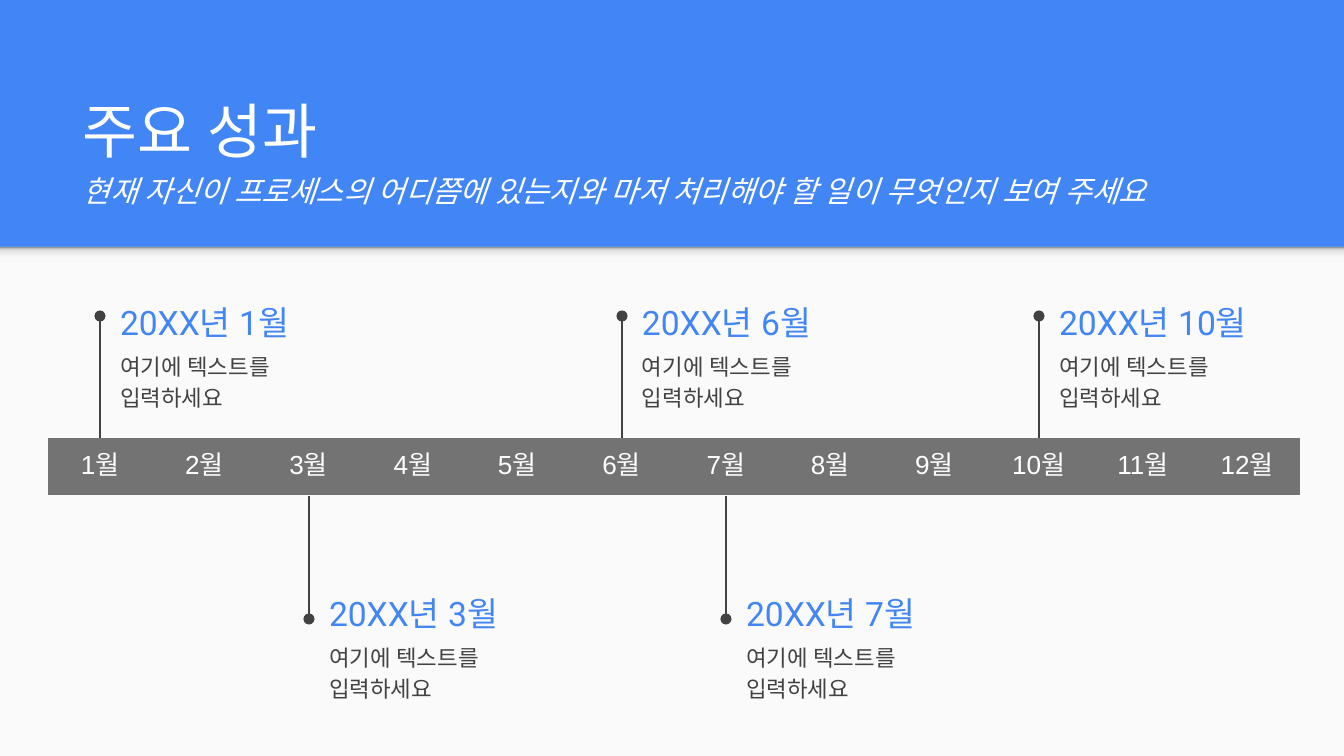
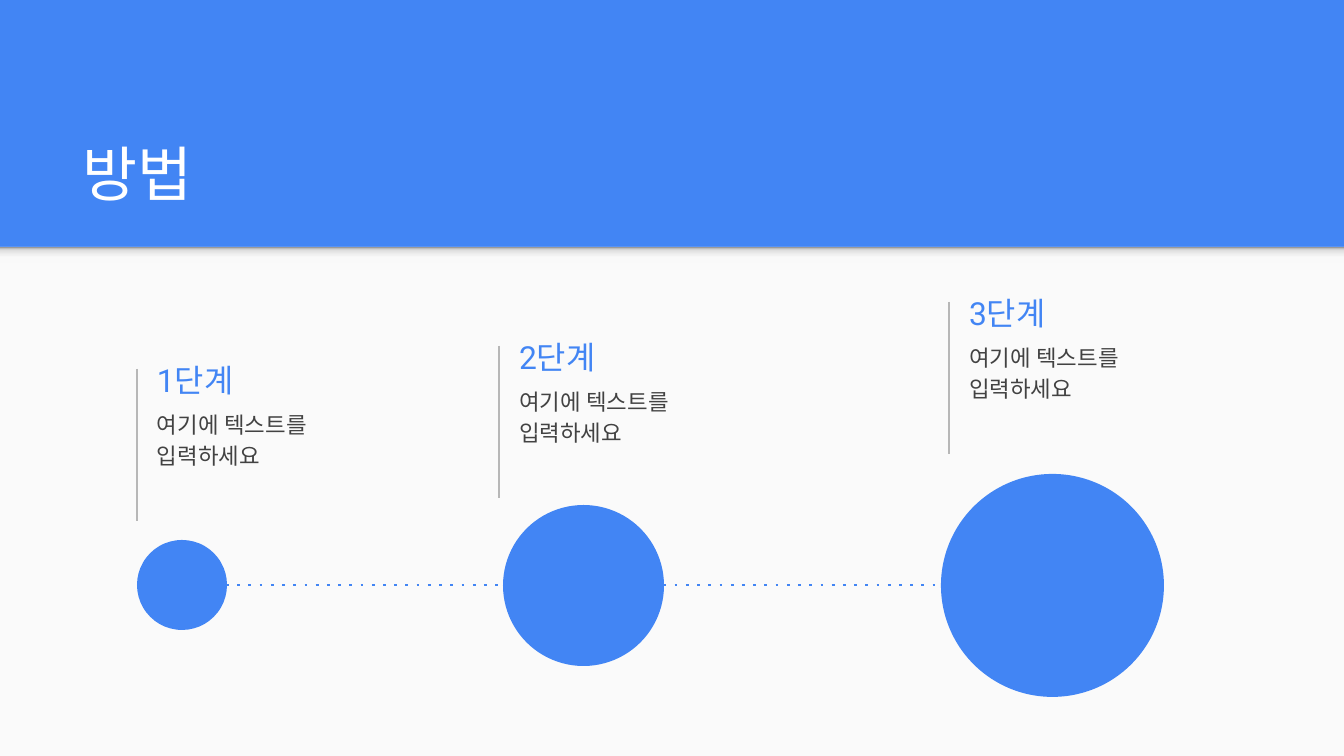
import pptx
import pptx.dml.color
import pptx.enum.shapes
import pptx.enum.text
import pptx.oxml
import pptx.oxml.ns
import pptx.util
from lxml import etree

SCALE = 914400 / 134.4
WIDTH, HEIGHT = 1344, 756
BLUE, PAPER, WHITE = "4285F4", "FAFAFA", "FFFFFF"
INK, BAR, RULE = "424242", "737373", "B7B7B7"
SHADE = [(0, "F9F9F9"), (36, "F9F9F9"), (80, "DEDEDE"), (100, "999999")]
NO_TABLE_STYLE = "{2D5ABB26-0587-4C30-8999-92F81FD0307C}"
SHAPE = pptx.enum.shapes.MSO_SHAPE
ANCHOR = pptx.enum.text.MSO_ANCHOR
ALIGN = pptx.enum.text.PP_ALIGN
BODY_TEXT = "여기에 텍스트를 입력하세요"


def px(*values):
    return [pptx.util.Emu(round(value * SCALE)) for value in values]


def color(code):
    return pptx.dml.color.RGBColor.from_string(code)


def add_child(parent, tag, **attributes):
    child = etree.SubElement(parent, pptx.oxml.ns.qn(tag))
    for name, value in attributes.items():
        child.set(name, str(value))
    return child


def write(para, text, size, fill, font="Roboto", italic=None, align=None,
          spacing=None, before=None, after=None):
    para.alignment = align
    if spacing:
        para.line_spacing = spacing
    if before:
        para.space_before = pptx.util.Pt(before)
    if after:
        para.space_after = pptx.util.Pt(after)
    span = para.add_run()
    span.text = text
    span.font.size = pptx.util.Pt(size)
    span.font.italic = italic
    span.font.color.rgb = color(fill)
    span.font.name = font
    add_child(span.font._element, "a:ea", typeface=font)


def set_margins(holder):
    margin = px(13)[0]
    holder.margin_left = holder.margin_right = margin
    holder.margin_top = holder.margin_bottom = margin


class Slides:
    """Holds the deck's style and the current slide."""

    def __init__(self):
        self.deck = pptx.Presentation()
        self.deck.slide_width, self.deck.slide_height = px(WIDTH, HEIGHT)
        self.page = None

    def start(self, title, subtitle=None):
        self.page = self.deck.slides.add_slide(self.deck.slide_layouts[6])
        self.page.background.fill.solid()
        self.page.background.fill.fore_color.rgb = color(BLUE)
        self.shape(SHAPE.RECTANGLE, 0, 247, WIDTH, HEIGHT - 247, PAPER)
        self.shade(0, 247, WIDTH, 16)
        frame = self.text_box(70, 109, 1208, 113, ANCHOR.BOTTOM)
        write(frame.paragraphs[0], title, 32, WHITE)
        if subtitle:
            write(frame.add_paragraph(), subtitle, 16, WHITE,
                  italic=True, before=4, after=4)

    def shape(self, kind, left, top, width, height, fill):
        shape = self.page.shapes.add_shape(kind, *px(left, top, width, height))
        shape.shadow.inherit = False
        shape.fill.solid()
        shape.fill.fore_color.rgb = color(fill)
        shape.line.fill.background()
        return shape

    def shade(self, left, top, width, height):
        band = self.shape(SHAPE.RECTANGLE, left, top, width, height, PAPER)
        band.fill.gradient()
        band.fill.gradient_angle = 90
        stops = band._element.spPr.find(".//" + pptx.oxml.ns.qn("a:gsLst"))
        for stop in list(stops):
            stops.remove(stop)
        for position, code in SHADE:
            stop = add_child(stops, "a:gs", pos=position * 1000)
            add_child(stop, "a:srgbClr", val=code)

    def text_box(self, left, top, width, height, anchor):
        box = self.page.shapes.add_textbox(*px(left, top, width, height))
        frame = box.text_frame
        frame.word_wrap = True
        frame.vertical_anchor = anchor
        set_margins(frame)
        return frame

    def line(self, start, end, fill, width=0.75, dash=None, tail=None):
        line = self.page.shapes.add_connector(
            pptx.enum.shapes.MSO_CONNECTOR.STRAIGHT, *px(*start, *end))
        line.line.color.rgb = color(fill)
        line.line.width = pptx.util.Pt(width)
        outline = line.line._get_or_add_ln()
        if dash:
            add_child(outline, "a:prstDash", val=dash)
        if tail:
            add_child(outline, "a:tailEnd", type=tail)
        add_child(line._element.spPr, "a:effectLst")

    def entry(self, left, top, heading, size):
        frame = self.text_box(left, top, 266, 58, ANCHOR.MIDDLE)
        write(frame.paragraphs[0], heading, size, BLUE)
        frame = self.text_box(left, top + 43, 266, 85, ANCHOR.TOP)
        write(frame.paragraphs[0], BODY_TEXT, 12, INK, spacing=1.15, after=16)

    def bar(self, left, top, width, height, labels):
        table = self.page.shapes.add_table(
            1, len(labels), *px(left, top, width, height)).table
        table.first_row = table.horz_banding = False
        style = table._tbl.tblPr.find(pptx.oxml.ns.qn("a:tableStyleId"))
        style.text = NO_TABLE_STYLE
        for index, label in enumerate(labels):
            table.columns[index].width = px(width / len(labels))[0]
            cell = table.cell(0, index)
            cell.fill.solid()
            cell.fill.fore_color.rgb = color(BAR)
            set_margins(cell)
            write(cell.text_frame.paragraphs[0], label, 14, WHITE,
                  font="Arial", align=ALIGN.CENTER)


def build_timeline(slides):
    slides.start("주요 성과", "현재 자신이 프로세스의 어디쯤에 있는지와 "
                 "마저 처리해야 할 일이 무엇인지 보여 주세요")
    bar_left, bar_top, bar_width = 48, 438, 1252
    for month, above in [(1, True), (3, False), (6, True),
                         (7, False), (10, True)]:
        stem = bar_left + round(bar_width * (month - 0.5) / 12)
        start, end, top = (bar_top, 316, 293) if above else (496, 619, 584)
        slides.line((stem, start), (stem, end), INK, tail="oval")
        slides.entry(stem + 7, top, f"20XX년 {month}월", 18)
    slides.bar(bar_left, bar_top, bar_width, 56,
               [f"{month}월" for month in range(1, 13)])


def build_method(slides):
    slides.start("방법")
    stems = [(137, 369), (499, 346), (949, 302)]
    for step, (left, top) in enumerate(stems, 1):
        slides.line((left, top), (left, top + 152), RULE)
        slides.entry(left + 7, top - 18, f"{step}단계", 17)
    middle = 585
    slides.line((226, middle), (941, middle), BLUE, width=1.5, dash="dot")
    for left, size in [(137, 90), (503, 161), (941, 223)]:
        slides.shape(SHAPE.OVAL, left, middle - size // 2, size, size, BLUE)


def main():
    slides = Slides()
    build_timeline(slides)
    build_method(slides)
    slides.deck.save("out.pptx")


if __name__ == "__main__":
    main()
